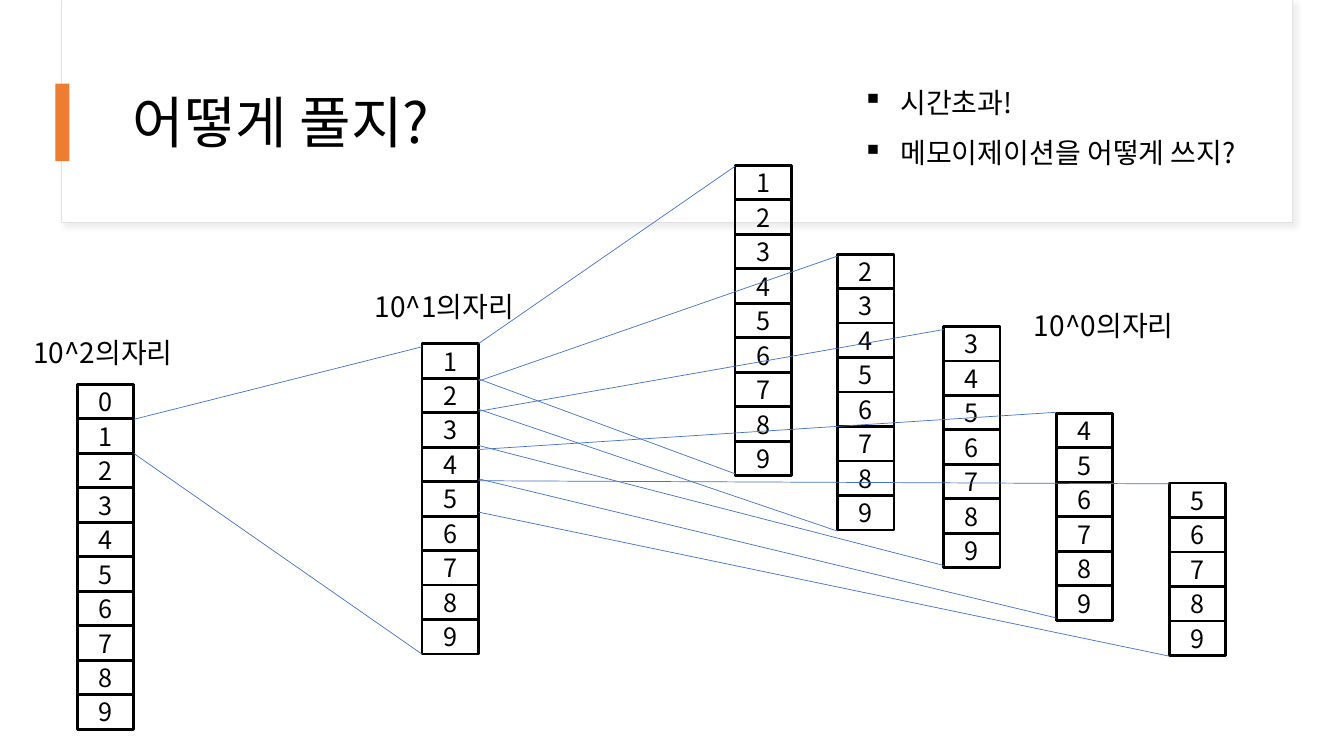
"""Build the slide on splitting a number into digit columns."""
import pptx
import pptx.dml.color
import pptx.enum.shapes
import pptx.enum.text
import pptx.oxml
import pptx.oxml.ns
import pptx.util
from dataclasses import dataclass

Pt = pptx.util.Pt
Anchor = pptx.enum.text.MSO_ANCHOR
Align = pptx.enum.text.PP_ALIGN


@dataclass(frozen=True)
class Theme:
    font: str = "Noto Sans CJK KR"
    ink: str = "000000"
    paper: str = "FFFFFF"
    accent: str = "ED7D31"
    link: str = "4472C4"
    frame: str = "E1E1E1"
    shadow: str = "D9D9D9"
    title_size: int = 40
    text_size: int = 20
    digit_size: int = 18
    spacing: float = 1.5


THEME = Theme()
TITLE = "어떻게 풀지?"
QUESTIONS = ["시간초과!", "메모이제이션을 어떻게 쓰지?"]
LABELS = [("10^0의자리", 731.5, 204.5), ("10^1의자리", 260.6, 191.5), ("10^2의자리", 16.6, 223.9)]
CELL_WIDTH, CELL_HEIGHT = 40.3, 24.63
HUNDREDS = (0, 55.4, 274.5)
TENS = (1, 301.5, 245.5)
ONES = [(1, 525, 118.1), (2, 598.3, 181.5), (3, 674, 233.2), (4, 754.5, 295.2), (5, 835.2, 345)]
FANS = [
    (HUNDREDS, TENS, [(299.5, 247.7), (324, 467.3)]),
    (TENS, ONES[0], [(245.5, 118.8), (270.7, 338.4)]),
    (TENS, ONES[1], [(272.2, 182.9), (292.3, 379.4)]),
    (TENS, ONES[2], [(293.8, 235.4), (318.2, 403.9)]),
    (TENS, ONES[3], [(321.1, 294.5), (342, 441.4)]),
    (TENS, ONES[4], [(343.4, 345.6), (365.8, 468.7)]),
]


def color(value):
    return pptx.dml.color.RGBColor.from_string(value)


def add_xml(parent, xml):
    parent.append(pptx.oxml.parse_xml(xml.replace("<a:", f"<a:", 1).replace(
        ">" if "/>" not in xml.split(">")[0] + ">" else "/>",
        f" {pptx.oxml.ns.nsdecls('a')}" + (">" if "/>" not in xml.split(">")[0] + ">" else "/>"), 1)))


def style_paragraph(paragraph, text, size, spacing=None):
    paragraph.text = text
    paragraph.line_spacing = spacing
    font = paragraph.font
    font.size, font.name = Pt(size), THEME.font
    font.color.rgb = color(THEME.ink)
    add_xml(font._element, f'<a:ea typeface="{THEME.font}"/>')


def add_box(slide, place, fill=None, line=None, width=0):
    shape = slide.shapes.add_shape(pptx.enum.shapes.MSO_SHAPE.RECTANGLE, *map(Pt, place))
    shape.shadow.inherit = False
    if fill:
        shape.fill.solid()
        shape.fill.fore_color.rgb = color(fill)
    else:
        shape.fill.background()
    if line:
        shape.line.color.rgb = color(line)
        shape.line.width = Pt(width)
    else:
        shape.line.fill.background()
    return shape


def add_text(slide, place, lines, size, spacing, wrap=False, anchor=Anchor.TOP, bullet=None):
    frame = slide.shapes.add_textbox(*map(Pt, place)).text_frame
    frame.word_wrap = wrap
    frame.vertical_anchor = anchor
    for index, text in enumerate(lines):
        paragraph = frame.paragraphs[0] if index == 0 else frame.add_paragraph()
        style_paragraph(paragraph, text, size, spacing)
        if bullet:
            properties = paragraph._p.get_or_add_pPr()
            properties.set("marL", str(Pt(27)))
            properties.set("indent", str(-Pt(27)))
            add_xml(properties, f'<a:buChar char="{bullet}"/>')
            properties.append(properties.find(pptx.oxml.ns.qn("a:defRPr")))


def add_column(slide, first, left, top):
    for row, digit in enumerate(range(first, 10)):
        place = (left, top + row * CELL_HEIGHT, CELL_WIDTH, CELL_HEIGHT)
        cell = add_box(slide, place, line=THEME.ink, width=2)
        cell.text_frame.vertical_anchor = Anchor.MIDDLE
        paragraph = cell.text_frame.paragraphs[0]
        style_paragraph(paragraph, str(digit), THEME.digit_size)
        paragraph.alignment = Align.CENTER


def add_fan(slide, source, target, heights):
    for start, end in heights:
        connector = slide.shapes.add_connector(
            pptx.enum.shapes.MSO_CONNECTOR.STRAIGHT,
            Pt(source[1] + CELL_WIDTH), Pt(start), Pt(target[1]), Pt(end))
        connector.line.color.rgb = color(THEME.link)
        connector.line.width = Pt(0.5)
        add_xml(connector._element.spPr, "<a:effectLst/>")


presentation = pptx.Presentation()
presentation.slide_width, presentation.slide_height = Pt(960), Pt(540)
slide = presentation.slides.add_slide(presentation.slide_layouts[6])

header = add_box(slide, (44, 0, 879, 159), THEME.paper, THEME.frame, 0.75)
effects = header._element.spPr.find(pptx.oxml.ns.qn("a:effectLst"))
add_xml(effects, f'<a:outerShdw blurRad="{Pt(4)}" dist="{Pt(3)}" dir="2700000">'
        f'<a:srgbClr val="{THEME.shadow}"><a:alpha val="50000"/></a:srgbClr></a:outerShdw>')
add_box(slide, (44.6, 0, 878.4, 158.4), THEME.paper)
add_text(slide, (87.8, 43.2, 800.6, 92.9), [TITLE], THEME.title_size, 0.9, True, Anchor.MIDDLE)
add_box(slide, (39.6, 59.8, 10, 55.4), THEME.accent)

for column in [HUNDREDS, TENS, *ONES]:
    add_column(slide, *column)
for fan in FANS:
    add_fan(slide, *fan)
add_text(slide, (609.1, 45.4, 307.4, 75.6), QUESTIONS, THEME.text_size, THEME.spacing, bullet="▪")
for label, left, top in LABELS:
    add_text(slide, (left, top, 122.4, 38.9), [label], THEME.text_size, THEME.spacing)

presentation.save("out.pptx")
